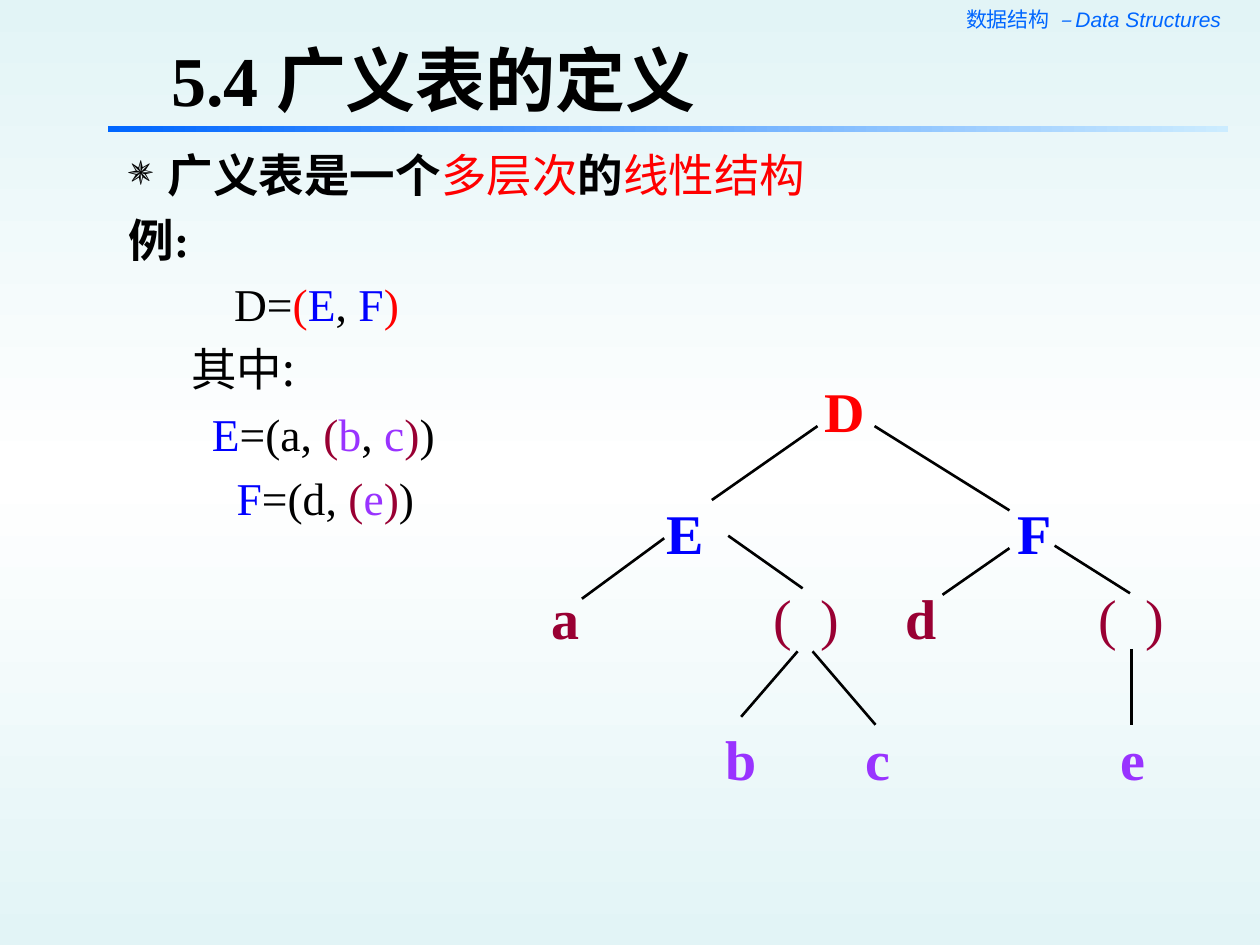
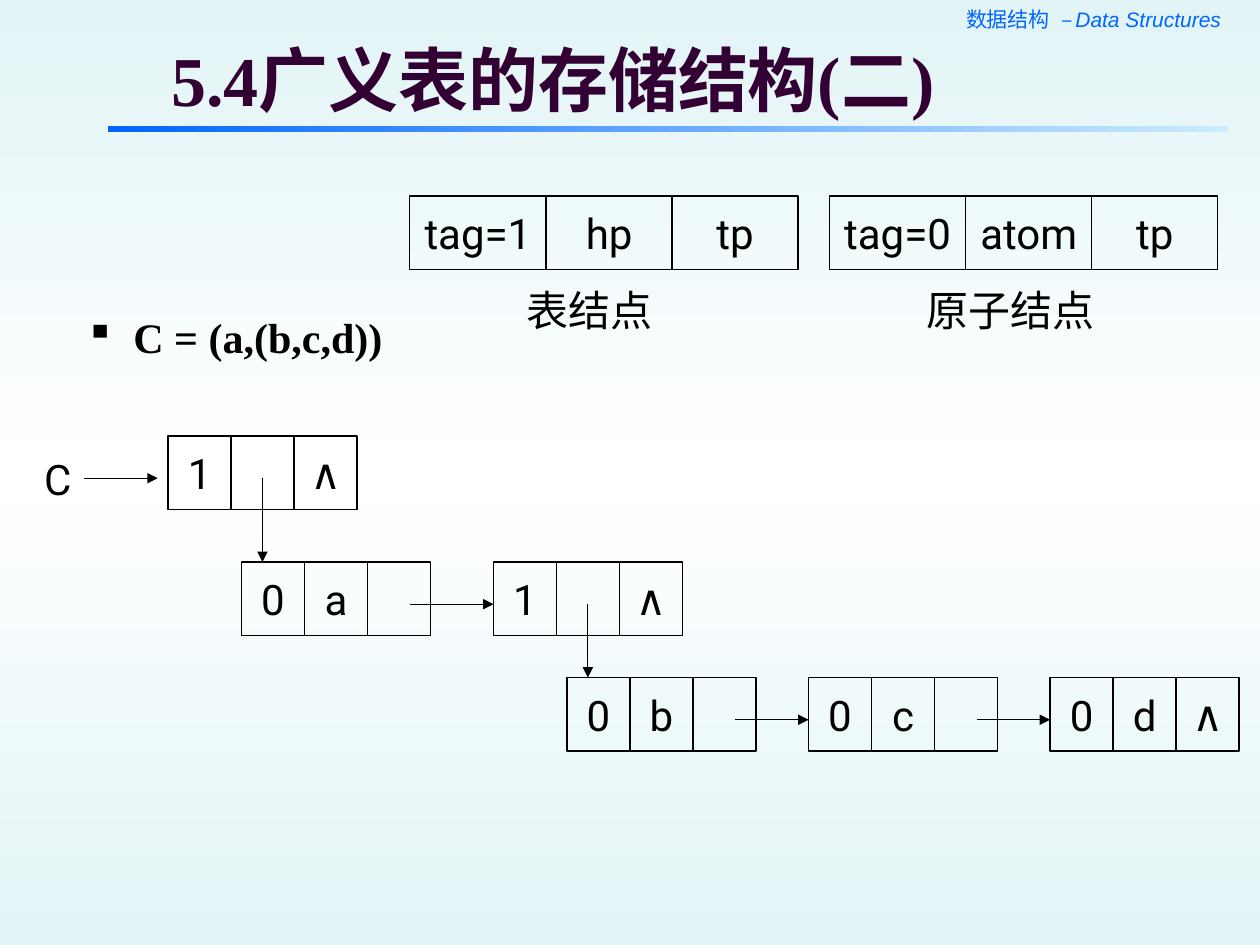
from typing import NamedTuple, Optional, Sequence

import pptx
import pptx.dml.color
import pptx.enum.shapes
import pptx.enum.text
import pptx.oxml
import pptx.oxml.ns
import pptx.util
from pptx.util import Cm

SERIF, SANS, LABEL, CHINESE = "Times New Roman", "Arial", "Roboto", "Noto Sans CJK SC"
BLACK, PLUM, RED, BLUE = "000000", "330033", "FF0000", "0000FF"
MAROON, PURPLE, SKY, PALE_SKY = "990033", "9933FF", "0066FF", "CCECFF"
MIST, WHITE = "E2F4F6", "FFFFFF"

ALIGN = pptx.enum.text.PP_ALIGN
ANCHOR = pptx.enum.text.MSO_ANCHOR

CELL_HEIGHT = 1.48
CELL_WIDTHS = (1.27, 1.27, 1.27)
LEGEND_WIDTHS = (2.75, 2.54, 2.54)
LINK_DROP = 0.85  # from the top of a node to its pointer


class Run(NamedTuple):
    text: str
    color: str = BLACK
    bold: bool = False
    font: str = SERIF
    size: float = 26
    italic: bool = False
    spacing: float = 0


class Line(NamedTuple):
    runs: Sequence[Run]
    indent: float = 0
    hanging: float = 0
    bullet: Optional[str] = None
    pitch: Optional[float] = None
    align: ALIGN = ALIGN.LEFT


class Box(NamedTuple):
    left: float
    top: float
    width: float
    height: float


class TreeNode(NamedTuple):
    text: str
    center: float
    top: float
    color: str


class Edge(NamedTuple):
    x1: float
    y1: float
    x2: float
    y2: float


class ListNode(NamedTuple):
    left: float
    top: float
    fields: Sequence[str]
    widths: Sequence[float] = CELL_WIDTHS


TREE_ROWS = (7.47, 9.93, 11.63, 14.48)
TREE_NODES = (
    TreeNode("D", 17.02, TREE_ROWS[0], RED),
    TreeNode("E", 13.82, TREE_ROWS[1], BLUE),
    TreeNode("F", 20.85, TREE_ROWS[1], BLUE),
    TreeNode("a", 11.4, TREE_ROWS[2], MAROON),
    TreeNode("( )", 16.26, TREE_ROWS[2], MAROON),
    TreeNode("d", 18.57, TREE_ROWS[2], MAROON),
    TreeNode("( )", 22.81, TREE_ROWS[2], MAROON),
    TreeNode("b", 14.94, TREE_ROWS[3], PURPLE),
    TreeNode("c", 17.7, TREE_ROWS[3], PURPLE),
    TreeNode("e", 22.83, TREE_ROWS[3], PURPLE),
)
TREE_EDGES = (
    Edge(16.48, 8.59, 14.35, 10.08),
    Edge(17.63, 8.59, 20.35, 10.29),
    Edge(13.39, 10.85, 11.73, 12.07),
    Edge(14.68, 10.8, 16.18, 11.86),
    Edge(16.08, 13.13, 14.94, 14.45),
    Edge(16.38, 13.13, 17.65, 14.61),
    Edge(20.35, 11.05, 19, 11.99),
    Edge(21.26, 11, 22.78, 11.96),
    Edge(22.81, 13.08, 22.81, 14.61),
)

LEGEND = (
    ListNode(8.26, 3.95, ("tag=1", "hp", "tp"), LEGEND_WIDTHS),
    ListNode(16.72, 3.95, ("tag=0", "atom", "tp"), LEGEND_WIDTHS),
)
HEAD = ListNode(3.39, 8.79, ("1", "", "∧"))
ATOM_A = ListNode(4.87, 11.33, ("0", "a", ""))
SUBLIST = ListNode(9.95, 11.33, ("1", "", "∧"))
ATOM_B = ListNode(11.43, 13.66, ("0", "b", ""))
ATOM_C = ListNode(16.3, 13.66, ("0", "c", ""))
ATOM_D = ListNode(21.17, 13.66, ("0", "d", "∧"))
HEAD_LINKS = ((HEAD, ATOM_A), (SUBLIST, ATOM_B))
TAIL_LINKS = ((ATOM_A, SUBLIST), (ATOM_B, ATOM_C), (ATOM_C, ATOM_D))


def rgb(color: str) -> pptx.dml.color.RGBColor:
    return pptx.dml.color.RGBColor.from_string(color)


def add_element(parent, tag: str, **attributes: str):
    child = pptx.oxml.parse_xml(f"<{tag} {pptx.oxml.ns.nsdecls('a')}/>")
    for name, value in attributes.items():
        child.set(name, value)
    parent.append(child)
    return child


def set_gradient(fill, owner, colors: Sequence[str], angle: int) -> None:
    """Spread the colours evenly; angle is in degrees, clockwise from the right."""
    fill.gradient()
    gradient = owner.find(".//" + pptx.oxml.ns.qn("a:gradFill"))
    stops = gradient.find(pptx.oxml.ns.qn("a:gsLst"))
    for stop in list(stops):
        stops.remove(stop)
    for i, color in enumerate(colors):
        stop = add_element(stops, "a:gs", pos=str(100000 * i // (len(colors) - 1)))
        add_element(stop, "a:srgbClr", val=color)
    gradient.find(pptx.oxml.ns.qn("a:lin")).set("ang", str(angle * 60000))


def write_line(paragraph, line: Line) -> None:
    properties = paragraph._p.get_or_add_pPr()
    properties.set("marL", str(Cm(line.indent)))
    properties.set("indent", str(Cm(-line.hanging)))
    if line.bullet:
        color = add_element(properties, "a:buClr")
        add_element(color, "a:srgbClr", val=BLACK)
        add_element(properties, "a:buSzPct", val="95000")
        add_element(properties, "a:buChar", char=line.bullet)
    paragraph.alignment = line.align
    if line.pitch:
        paragraph.line_spacing = pptx.util.Pt(line.pitch)
    for part in line.runs:
        run = paragraph.add_run()
        run.text = part.text
        run.font.name = part.font
        run.font.size = pptx.util.Pt(part.size)
        run.font.bold = part.bold
        run.font.italic = part.italic
        run.font.color.rgb = rgb(part.color)
        add_element(run.font._element, "a:ea", typeface=CHINESE)
        if part.spacing:
            run.font._element.set("spc", str(int(part.spacing * 100)))


def write_lines(frame, lines: Sequence[Line], anchor: ANCHOR = ANCHOR.TOP) -> None:
    frame.vertical_anchor = anchor
    for i, line in enumerate(lines):
        write_line(frame.add_paragraph() if i else frame.paragraphs[0], line)


def add_text(slide, box: Box, *lines: Line, anchor: ANCHOR = ANCHOR.TOP) -> None:
    frame = slide.shapes.add_textbox(*map(Cm, box)).text_frame
    frame.word_wrap = True
    write_lines(frame, lines, anchor)


def add_edge(slide, edge: Edge, width: float, arrow: bool = False) -> None:
    connector = slide.shapes.add_connector(
        pptx.enum.shapes.MSO_CONNECTOR.STRAIGHT, *map(Cm, edge))
    connector.line.color.rgb = rgb(BLACK)
    connector.line.width = pptx.util.Pt(width)
    if arrow:
        add_element(connector.line._get_or_add_ln(), "a:tailEnd", type="triangle")
    add_element(connector._element.spPr, "a:effectLst")


def add_rectangle(slide, box: Box):
    rectangle = slide.shapes.add_shape(
        pptx.enum.shapes.MSO_SHAPE.RECTANGLE, *map(Cm, box))
    rectangle.shadow.inherit = False
    return rectangle


def label(text: str, align: ALIGN = ALIGN.LEFT) -> Line:
    return Line([Run(text, font=LABEL, size=24)], align=align)


def add_list_node(slide, node: ListNode) -> None:
    left = node.left
    for text, width in zip(node.fields, node.widths):
        cell = add_rectangle(slide, Box(left, node.top, width, CELL_HEIGHT))
        cell.fill.background()
        cell.line.color.rgb = rgb(BLACK)
        cell.line.width = pptx.util.Pt(0.75)
        if text:
            cell.text_frame.word_wrap = False
            write_lines(cell.text_frame, [label(text, ALIGN.CENTER)], ANCHOR.MIDDLE)
        left += width


def add_framed_slide(deck, title: str, title_color: str):
    """Add a slide with the background, course header, rule and title."""
    slide = deck.slides.add_slide(deck.slide_layouts[6])
    set_gradient(slide.background.fill, slide.element, (MIST, WHITE, MIST), 90)
    add_text(slide, Box(15.24, 0, 9.63, 0.76), Line([
        Run("数据结构 ", SKY, size=12),
        Run(" – Data Structures", SKY, font=SANS, size=12, italic=True),
    ], align=ALIGN.RIGHT))
    rule = add_rectangle(slide, Box(2.18, 2.54, 22.58, 0.13))
    set_gradient(rule.fill, rule._element, (SKY, PALE_SKY), 0)
    rule.line.fill.background()
    add_text(slide, Box(3.2, 0.74, 20.93, 1.7),
             Line([Run(title, title_color, True, size=40)]), anchor=ANCHOR.MIDDLE)
    return slide


def build_definition(deck) -> None:
    slide = add_framed_slide(deck, "5.4 广义表的定义", BLACK)
    pitch = 37
    add_text(
        slide, Box(1.07, 2.63, 23.5, 15.24),
        Line([Run("广义表是一个", bold=True), Run("多层次", RED),
              Run("的", bold=True), Run("线性结构", RED)], 2.06, 0.79, "✵", pitch),
        Line([Run("例:", bold=True)], 1.27, pitch=pitch),
        Line([Run("D="), Run("(", RED), Run("E", BLUE), Run(", "),
              Run("F", BLUE), Run(")", RED)], 3.4, pitch=pitch),
        Line([Run("其中:", font=CHINESE)], 2.54, pitch=pitch),
        Line([Run("E", BLUE), Run("=(a, "), Run("(", MAROON), Run("b", PURPLE),
              Run(", "), Run("c", PURPLE), Run(")", MAROON), Run(")")],
             2.95, pitch=pitch),
        Line([Run("F", BLUE), Run("=(d,"), Run(" (", MAROON), Run("e", PURPLE),
              Run(")", MAROON), Run(")")], 3.45, pitch=pitch),
    )
    node_width = 2.4
    for node in TREE_NODES:
        is_list = node.text == "( )"
        name = Run(node.text, node.color, not is_list, size=32,
                   spacing=4 if is_list else 0)
        add_text(slide, Box(node.center - node_width / 2, node.top, node_width, 1.63),
                 Line([name], align=ALIGN.CENTER))
    for edge in TREE_EDGES:
        add_edge(slide, edge, 1.5)


def build_storage(deck) -> None:
    slide = add_framed_slide(deck, "5.4广义表的存储结构(二)", PLUM)
    add_text(slide, Box(1.47, 6.15, 23.4, 1.9),
             Line([Run("C = (a,(b,c,d))", bold=True, size=24)], 0.97, 0.97, "▪"))
    add_text(slide, Box(10.37, 5.61, 3.18, 1.27), label("表结点"))
    add_text(slide, Box(18.42, 5.61, 4.02, 1.27), label("原子结点"))
    add_text(slide, Box(0.64, 9.02, 1.07, 1.27), label("C"))
    for node in (*LEGEND, HEAD, ATOM_A, SUBLIST, ATOM_B, ATOM_C, ATOM_D):
        add_list_node(slide, node)

    entry_y = HEAD.top + LINK_DROP
    links = [Edge(1.69, entry_y, 3.18, entry_y)]
    for parent, child in HEAD_LINKS:
        x = parent.left + 1.9
        links.append(Edge(x, parent.top + LINK_DROP, x, child.top))
    for node, successor in TAIL_LINKS:
        y = node.top + LINK_DROP
        links.append(Edge(node.left + 3.39, y, successor.left, y))
    for link in links:
        add_edge(slide, link, 0.75, arrow=True)


def main() -> None:
    deck = pptx.Presentation()
    deck.slide_width, deck.slide_height = Cm(25.4), Cm(19.05)
    build_definition(deck)
    build_storage(deck)
    deck.save("out.pptx")


if __name__ == "__main__":
    main()
